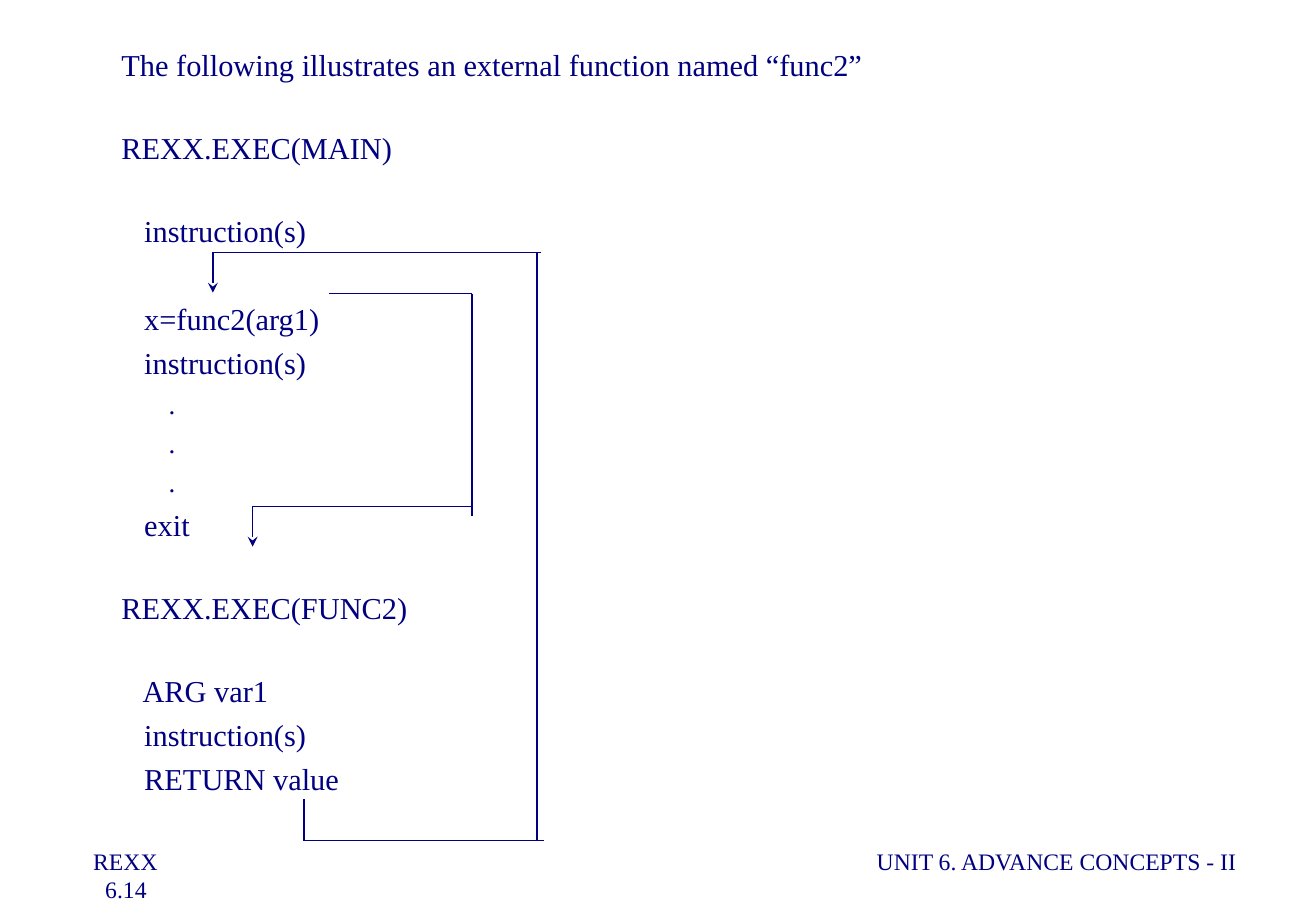
import pptx
import pptx.util
import pptx.dml.color
import pptx.enum.shapes
import pptx.enum.text
import pptx.oxml.ns
from lxml import etree

Cm = pptx.util.Cm
Pt = pptx.util.Pt
COLORS = {"navy": "000080", "paper": "FFFFFF"}
FONT = "Times New Roman"
BODY_BOX = (2.29, 0.84, 23.37, 17.58)
FOOTER_BOX = (1.7, 17.58, 24.56, 0.64)
LINE_GAP, DOT_GAP, BLOCK_GAP, CALL_GAP = 4.5, 4, 27.7, 30.6

LISTING = [
    ("The following illustrates an external function named “func2”", 18, 0),
    ("REXX.EXEC(MAIN)", 18, BLOCK_GAP),
    ("   instruction(s)", 18, BLOCK_GAP),
    ("   x=func2(arg1)", 18, CALL_GAP),
    ("   instruction(s)", 18, LINE_GAP),
    ("       .", 16, DOT_GAP),
    ("       .", 16, DOT_GAP),
    ("       .", 16, DOT_GAP),
    ("   exit", 18, LINE_GAP),
    ("REXX.EXEC(FUNC2)", 18, BLOCK_GAP),
    ("   ARG var1", 18, BLOCK_GAP),
    ("   instruction(s)", 18, LINE_GAP),
    ("   RETURN value", 18, LINE_GAP),
]

RETURN_PATH = [
    (4.06, 15.87, 4.06, 16.74, False),
    (4.06, 16.74, 9.09, 16.74, False),
    (8.94, 16.74, 8.94, 4.44, False),
    (9.01, 4.44, 2.16, 4.44, False),
    (2.16, 4.44, 2.16, 5.28, True),
]
CALL_PATH = [
    (4.59, 5.3, 7.57, 5.3, False),
    (7.57, 5.3, 7.57, 9.96, False),
    (7.59, 9.75, 2.99, 9.75, False),
    (2.99, 9.75, 2.99, 10.59, True),
]


def rgb(name):
    return pptx.dml.color.RGBColor.from_string(COLORS[name])


def add_frame(page, box):
    frame = page.shapes.add_textbox(*[Cm(length) for length in box]).text_frame
    settings = {
        "word_wrap": True,
        "auto_size": pptx.enum.text.MSO_AUTO_SIZE.NONE,
        "vertical_anchor": pptx.enum.text.MSO_ANCHOR.TOP,
    }
    for name, value in settings.items():
        setattr(frame, name, value)
    return frame


def write_line(paragraph, text, size, space_before=0):
    paragraph.space_before = Pt(space_before)
    span = paragraph.add_run()
    span.text = text
    for name, value in {"name": FONT, "size": Pt(size)}.items():
        setattr(span.font, name, value)
    span.font.color.rgb = rgb("navy")


def add_listing(page, box):
    frame = add_frame(page, box)
    for index, (text, size, gap) in enumerate(LISTING):
        paragraph = frame.add_paragraph() if index else frame.paragraphs[0]
        write_line(paragraph, text, size, gap)


def add_flow(page, box, segments):
    left, top = box[:2]
    for x1, y1, x2, y2, has_arrow in segments:
        connector = page.shapes.add_connector(
            pptx.enum.shapes.MSO_CONNECTOR.STRAIGHT,
            Cm(left + x1), Cm(top + y1), Cm(left + x2), Cm(top + y2))
        connector.line.width = Pt(1)
        connector.line.color.rgb = rgb("navy")
        properties = connector.element.spPr
        if has_arrow:
            outline = properties.find(pptx.oxml.ns.qn("a:ln"))
            etree.SubElement(outline, pptx.oxml.ns.qn("a:tailEnd"), type="stealth")
        etree.SubElement(properties, pptx.oxml.ns.qn("a:effectLst"))


def add_footer(page, box):
    frame = add_frame(page, box)
    title = frame.paragraphs[0]
    tabs = etree.SubElement(title._p.get_or_add_pPr(), pptx.oxml.ns.qn("a:tabLst"))
    etree.SubElement(tabs, pptx.oxml.ns.qn("a:tab"), pos=str(Cm(box[2] - 0.66)), algn="r")
    write_line(title, "REXX\tUNIT 6. ADVANCE CONCEPTS - II", 14)
    number = frame.add_paragraph()
    number._p.get_or_add_pPr().set("marL", str(Cm(0.25)))
    write_line(number, "6.14", 14)


def main():
    deck = pptx.Presentation()
    deck.slide_width, deck.slide_height = Cm(27.51), Cm(19.05)
    page = deck.slides.add_slide(deck.slide_layouts[6])
    page.background.fill.solid()
    page.background.fill.fore_color.rgb = rgb("paper")
    add_listing(page, BODY_BOX)
    for segments in (RETURN_PATH, CALL_PATH):
        add_flow(page, BODY_BOX, segments)
    add_footer(page, FOOTER_BOX)
    deck.save("out.pptx")


if __name__ == "__main__":
    main()
